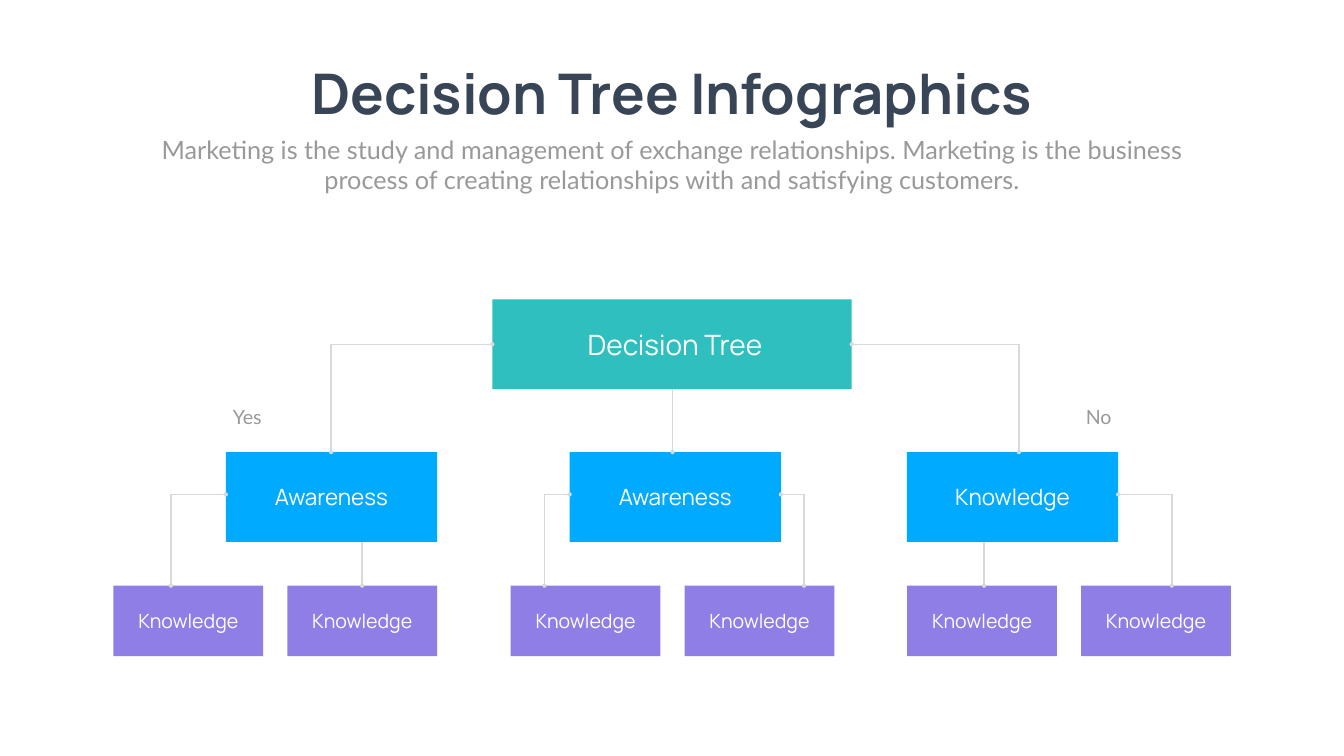
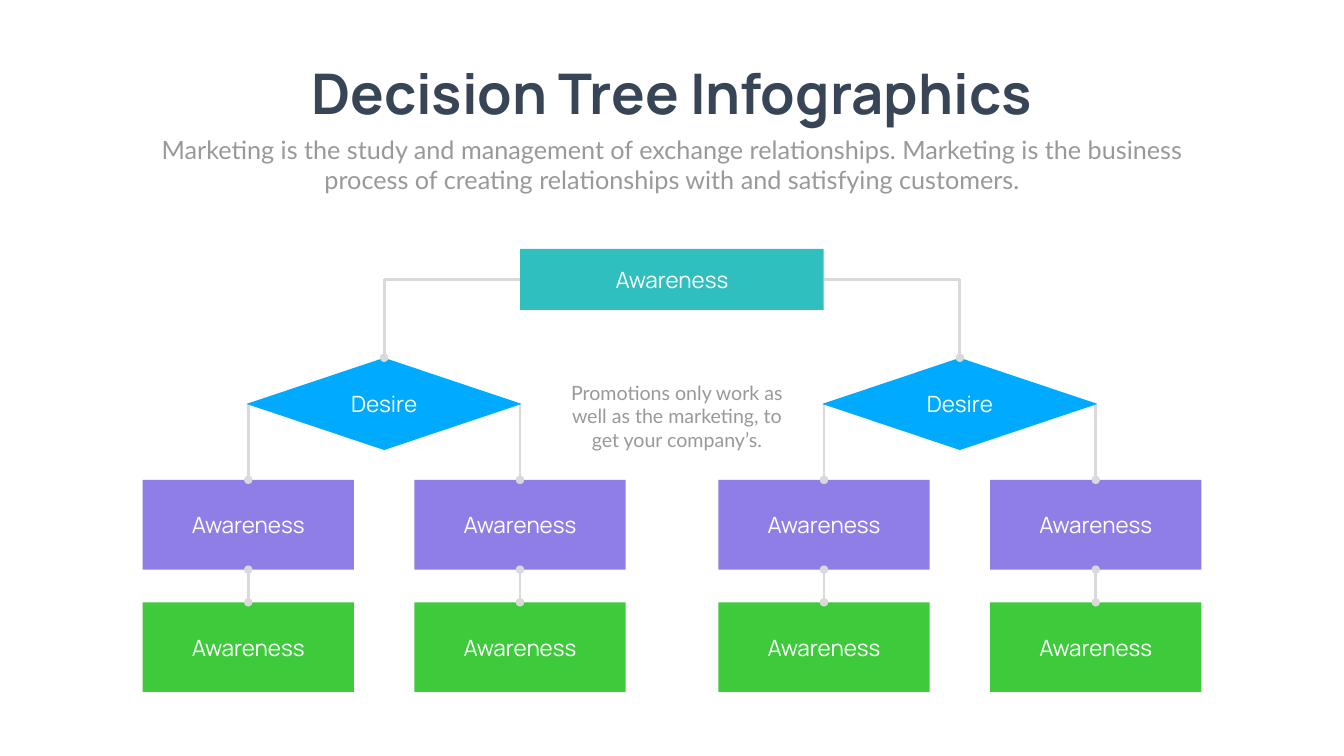
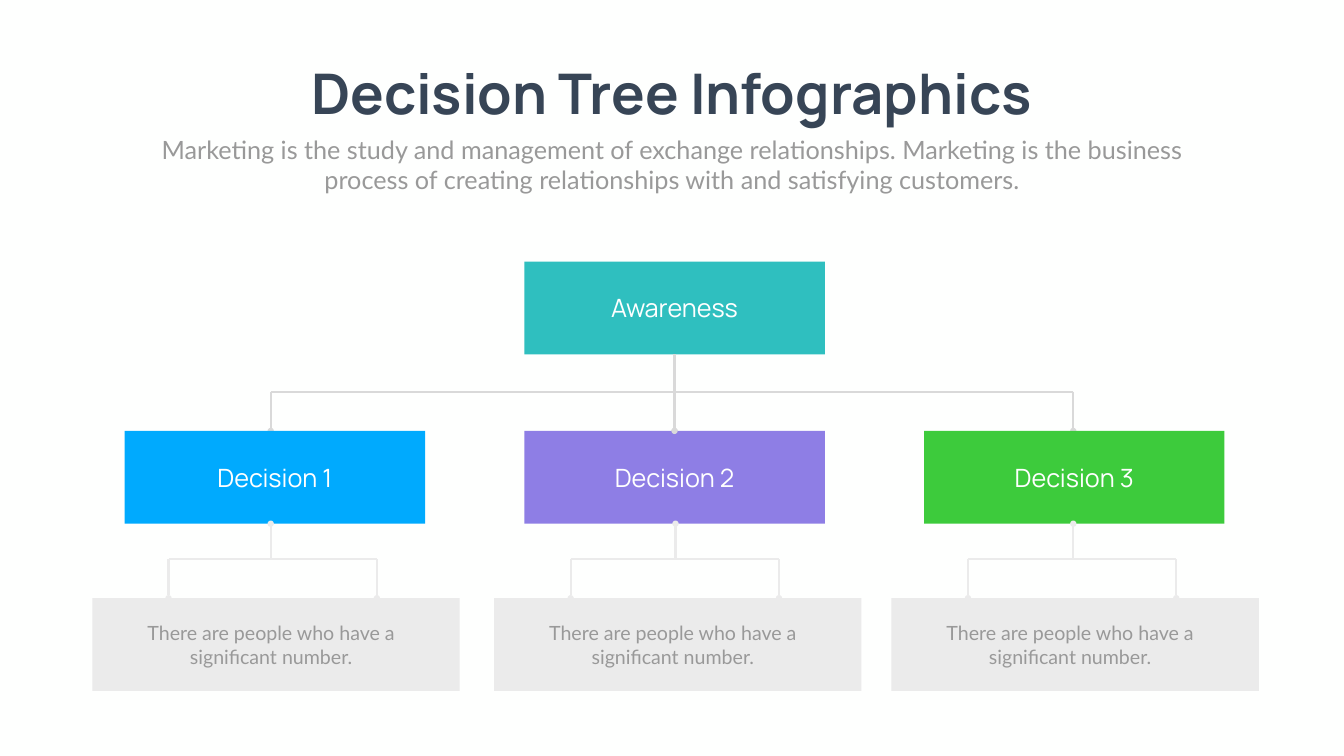
from dataclasses import dataclass
from itertools import pairwise

from lxml.etree import SubElement
from pptx import Presentation
from pptx.dml.color import RGBColor
from pptx.enum.shapes import MSO_CONNECTOR, MSO_SHAPE
from pptx.enum.text import MSO_ANCHOR, MSO_AUTO_SIZE, PP_ALIGN
from pptx.oxml.ns import qn
from pptx.util import Inches, Pt

WIDTH, HEIGHT = 26.66, 15
COL, ROW = WIDTH / 100, HEIGHT / 100
MIDDLE = 50

PAPER, NAVY, GRAY, WHITE = "FEFFFE", "374556", "999999", "FFFFFF"
TEAL, BLUE, PURPLE, GREEN = "2FBFBF", "00AAFE", "8E7EE5", "3DCB3C"
LINE, PALE = "D9D9D9", "EBEBEB"
HEAD_FONT, BODY_FONT = "Manrope", "Lato"

TITLE = "Decision Tree Infographics"
SUBTITLE = (
    "Marketing is the study and management of exchange relationships. "
    "Marketing is the business process of creating relationships with "
    "and satisfying customers."
)


@dataclass
class Node:
    w: float
    h: float
    fill: str
    size: int
    label_w: float
    shape: MSO_SHAPE = MSO_SHAPE.RECTANGLE
    color: str = WHITE
    font: str = HEAD_FONT
    lines: int = 1
    label_shift: float = 0


def rgb(value):
    return RGBColor.from_string(value)


def x(cols):
    return Inches(cols * COL)


def y(rows):
    return Inches(rows * ROW)


def text_rows(size, lines):
    return (size * lines / 60 + 0.1) / ROW


def write(sp, text, size, color, font, bold=False, wrap=True):
    tf = sp.text_frame
    tf.word_wrap = wrap
    tf.auto_size = MSO_AUTO_SIZE.SHAPE_TO_FIT_TEXT
    tf.vertical_anchor = MSO_ANCHOR.TOP
    p = tf.paragraphs[0]
    p.alignment = PP_ALIGN.CENTER
    r = p.add_run()
    r.text = text
    r.font.size = Pt(size)
    r.font.name = font
    r.font.bold = bold
    r.font.color.rgb = rgb(color)


def label(s, cx, cy, w, text, size, color=GRAY, font=BODY_FONT, lines=1):
    h = text_rows(size, lines)
    sp = s.shapes.add_textbox(x(cx - w / 2), y(cy - h / 2), x(w), y(h))
    write(sp, text, size, color, font)


def node(s, kind, cx, top, text):
    sp = s.shapes.add_shape(
        kind.shape, x(cx - kind.w / 2), y(top), x(kind.w), y(kind.h)
    )
    sp.shadow.inherit = False
    sp.fill.solid()
    sp.fill.fore_color.rgb = rgb(kind.fill)
    sp.line.fill.background()
    label(s, cx + kind.label_shift, top + kind.h / 2, kind.label_w, text,
          kind.size, kind.color, kind.font, kind.lines)


def route(s, points, width, color=LINE, start_dot=True, end_dot=True):
    last = len(points) - 2
    for i, ((x1, y1), (x2, y2)) in enumerate(pairwise(points)):
        c = s.shapes.add_connector(
            MSO_CONNECTOR.STRAIGHT, x(x1), y(y1), x(x2), y(y2)
        )
        c.line.color.rgb = rgb(color)
        c.line.width = Pt(width)
        ln = c.line._get_or_add_ln()
        if start_dot and i == 0:
            SubElement(ln, qn("a:headEnd"), type="oval")
        if end_dot and i == last:
            SubElement(ln, qn("a:tailEnd"), type="oval")
        SubElement(c._element.spPr, qn("a:effectLst"))


def new_slide(prs):
    s = prs.slides.add_slide(prs.slide_layouts[5])
    sp, w = s.shapes.title, 58.18
    sp.left, sp.top = x(MIDDLE - w / 2), y(7.47)
    sp.width, sp.height = x(w), y(9.67)
    write(sp, TITLE, 80, NAVY, HEAD_FONT, bold=True, wrap=False)
    label(s, MIDDLE, 21.77, 78.09, SUBTITLE, 36, lines=2)
    return s


def yes_no_tree(prs):
    s = new_slide(prs)
    root = Node(26.74, 11.87, TEAL, 40, 24.53, label_shift=0.22)
    branch = Node(15.72, 11.87, BLUE, 32, 12.75)
    leaf = Node(11.14, 9.33, PURPLE, 28, 9.94)
    root_top, branch_top, leaf_top = 39.6, 59.8, 77.47
    root_mid = root_top + root.h / 2
    branch_mid, branch_bottom = 65.4, branch_top + branch.h
    branches = [(24.66, "Awareness"), (50.24, "Awareness"), (75.34, "Knowledge")]

    node(s, root, MIDDLE, root_top, "Decision Tree")
    for cx, text in branches:
        node(s, branch, cx, branch_top, text)
    for pair_cx in (20.48, 50.04, 79.54):
        for side in (-1, 1):
            node(s, leaf, pair_cx + side * 6.47, leaf_top, "Knowledge")
    for cx, text in ((18.4, "Yes"), (81.75, "No")):
        label(s, cx, 55.17, 5.81, text, 28)

    for cx, side in ((24.64, -1), (75.81, 1)):
        edge = MIDDLE + side * root.w / 2
        route(s, [(cx, branch_top), (cx, root_mid), (edge, root_mid)], 2)
    route(s, [(50.04, root_top + root.h), (50.04, branch_top)], 2, start_dot=False)
    for cx in (26.95, 73.22):
        route(s, [(cx, leaf_top), (cx, branch_bottom)], 2, end_dot=False)
    for cx, parent, side in ((12.72, 0, -1), (40.51, 1, -1), (59.83, 1, 1), (87.19, 2, 1)):
        edge = branches[parent][0] + side * branch.w / 2
        route(s, [(cx, leaf_top), (cx, branch_mid), (edge, branch_mid)], 2)


def diamond_tree(prs):
    s = new_slide(prs)
    root = Node(22.58, 8.07, TEAL, 32, 12.75)
    choice = Node(20.48, 12.2, BLUE, 32, 12.75, MSO_SHAPE.DIAMOND)
    step = Node(15.72, 11.87, PURPLE, 32, 12.75)
    result = Node(15.72, 11.87, GREEN, 32, 12.75)
    root_top, choice_top, step_top, result_top = 32.93, 47.33, 63.47, 79.67
    root_mid = root_top + root.h / 2

    for cx in (MIDDLE + offset for offset in (-31.53, -11.31, 11.31, 31.53)):
        node(s, result, cx, result_top, "Awareness")
        node(s, step, cx, step_top, "Awareness")
        route(s, [(cx, step_top), (cx, 53.4)], 4, end_dot=False)
        route(s, [(cx, result_top), (cx, step_top + step.h)], 4)
    for side in (-1, 1):
        cx, edge = MIDDLE + side * 21.42, MIDDLE + side * root.w / 2
        node(s, choice, cx, choice_top, "Desire")
        route(s, [(cx, choice_top), (cx, root_mid), (edge, root_mid)], 4, end_dot=False)
    node(s, root, MIDDLE, root_top, "Awareness")
    label(s, 50.36, 55.03, 16.99,
          "Promotions only work as well as the marketing, to get your company’s.",
          28, lines=3)


def three_decisions(prs):
    s = new_slide(prs)
    box_w, box_h, center, step = 22.36, 12.27, 50.19, 29.74
    root_top, decision_top, card_top = 34.6, 57, 79.13
    trunk, fork = 51.8, 74
    card = Node(27.34, box_h, PALE, 28, 24.08, color=GRAY, font=BODY_FONT,
                lines=2, label_shift=-0.37)

    node(s, Node(box_w, box_h, TEAL, 36, 20.07), center, root_top, "Awareness")
    left, right = 20.14, 79.86
    route(s, [(left, decision_top), (left, trunk), (right, trunk),
              (right, decision_top)], 3)
    route(s, [(center, root_top + box_h), (center, decision_top)], 3, start_dot=False)

    columns = zip((BLUE, PURPLE, GREEN), (20.54, 50.43, 79.99),
                  (left, 50.26, right), (20.29, 50.21, 79.77))
    for i, (fill, card_cx, stem, fork_cx) in enumerate(columns):
        node(s, Node(box_w, box_h, fill, 36, 20.07), center + (i - 1) * step,
             decision_top, f"Decision {i + 1}")
        node(s, card, card_cx, card_top,
             "There are people who have a significant number.")
        route(s, [(stem, decision_top + box_h), (stem, fork)], 3, PALE, end_dot=False)
        a, b = fork_cx - 7.75, fork_cx + 7.75
        route(s, [(a, card_top), (a, fork), (b, fork), (b, card_top)], 3, PALE)
    route(s, [(center, trunk), (center, decision_top)], 3, start_dot=False)


def main():
    prs = Presentation()
    prs.slide_width, prs.slide_height = Inches(WIDTH), Inches(HEIGHT)
    fill = prs.slide_master.background.fill
    fill.solid()
    fill.fore_color.rgb = rgb(PAPER)
    yes_no_tree(prs)
    diamond_tree(prs)
    three_decisions(prs)
    prs.save("out.pptx")


if __name__ == "__main__":
    main()
